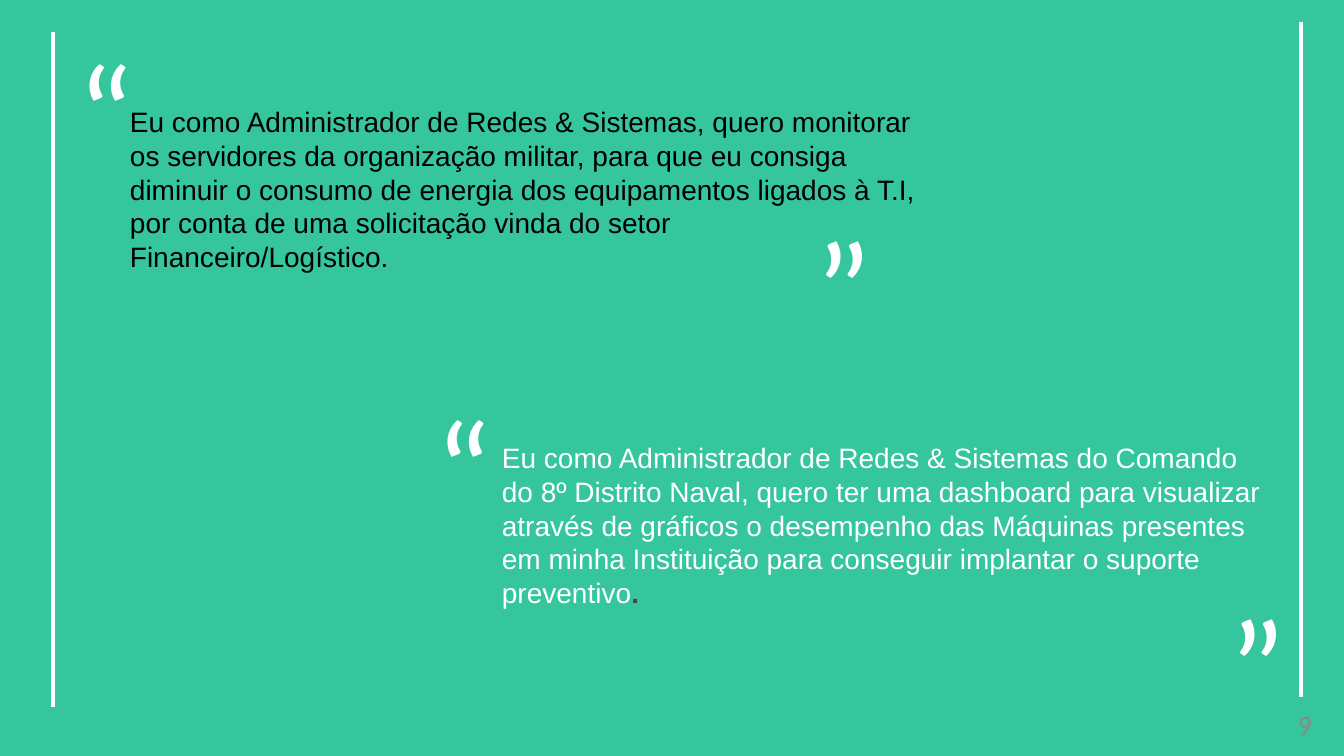
from dataclasses import dataclass

from lxml.etree import SubElement
from pptx import Presentation
from pptx.dml.color import RGBColor
from pptx.enum.shapes import MSO_CONNECTOR, MSO_SHAPE
from pptx.enum.text import MSO_ANCHOR, MSO_AUTO_SIZE, PP_ALIGN
from pptx.oxml.ns import qn
from pptx.slide import Slide
from pptx.util import Emu, Pt

EMU_PER_PX = 914400 / 100.8
SLIDE_WIDTH, SLIDE_HEIGHT = 1344, 756
GREEN, WHITE, BLACK, DARK_GRAY, GRAY = "35C69D", "FFFFFF", "000000", "444444", "898989"


@dataclass(frozen=True)
class TextRun:
    text: str
    color: str
    bold: bool = False


@dataclass(frozen=True)
class TextBlock:
    left: int
    top: int
    width: int
    height: int
    runs: tuple[TextRun, ...]
    size: int
    font: str
    align: PP_ALIGN = PP_ALIGN.LEFT


@dataclass(frozen=True)
class SideLine:
    x: int
    top: int
    height: int = 675


def px(length: int) -> Emu:
    return Emu(round(length * EMU_PER_PX))


def rgb(color: str) -> RGBColor:
    return RGBColor.from_string(color)


def quote_mark(left: int, top: int, mark: str) -> TextBlock:
    return TextBlock(left, top, 110, 173, (TextRun(mark, WHITE),), 96, "Calibri")


STORIES = (
    TextBlock(492, 436, 781, 176, (
        TextRun(
            "Eu como Administrador de Redes & Sistemas do Comando do 8º Distrito Naval, "
            "quero ter uma dashboard para visualizar através de gráficos o desempenho das "
            "Máquinas presentes em minha Instituição para conseguir implantar o suporte "
            "preventivo", WHITE),
        TextRun(".", DARK_GRAY, True),
    ), 20, "Arial"),
    TextBlock(120, 100, 822, 176, (
        TextRun(
            "Eu como Administrador de Redes & Sistemas, quero monitorar os servidores da "
            "organização militar, para que eu consiga diminuir o consumo de energia dos "
            "equipamentos ligados à T.I, por conta de uma solicitação vinda do setor "
            "Financeiro/Logístico.", BLACK),
    ), 20, "Arial"),
)
QUOTE_MARKS = (
    quote_mark(68, 22, "“"),
    quote_mark(806, 197, "”"),
    quote_mark(426, 378, "“"),
    quote_mark(1220, 575, "”"),
)
PAGE_NUMBER = TextBlock(1262, 703, 60, 46, (TextRun("9", GRAY),), 20, "Calibri", PP_ALIGN.RIGHT)
SIDE_LINES = (SideLine(53, 32), SideLine(1301, 22))


def draw_background(slide: Slide) -> None:
    shape = slide.shapes.add_shape(
        MSO_SHAPE.RECTANGLE, 0, 0, px(SLIDE_WIDTH), px(SLIDE_HEIGHT))
    shape.shadow.inherit = False
    shape.fill.solid()
    shape.fill.fore_color.rgb = rgb(GREEN)
    shape.line.fill.background()


def draw_text(slide: Slide, block: TextBlock) -> None:
    shape = slide.shapes.add_textbox(
        px(block.left), px(block.top), px(block.width), px(block.height))
    frame = shape.text_frame
    frame.word_wrap = True
    frame.auto_size = MSO_AUTO_SIZE.SHAPE_TO_FIT_TEXT
    frame.vertical_anchor = MSO_ANCHOR.TOP
    paragraph = frame.paragraphs[0]
    paragraph.alignment = block.align
    paragraph.font.size = Pt(block.size)
    paragraph.font.name = block.font
    for text_run in block.runs:
        run = paragraph.add_run()
        run.text = text_run.text
        run.font.color.rgb = rgb(text_run.color)
        run.font.bold = text_run.bold


def draw_side_line(slide: Slide, side_line: SideLine) -> None:
    connector = slide.shapes.add_connector(
        MSO_CONNECTOR.STRAIGHT, px(side_line.x), px(side_line.top),
        px(side_line.x), px(side_line.top + side_line.height))
    connector.line.color.rgb = rgb(WHITE)
    connector.line.width = Pt(3)
    SubElement(connector._element.spPr, qn("a:effectLst"))


def main() -> None:
    presentation = Presentation()
    presentation.slide_width = px(SLIDE_WIDTH)
    presentation.slide_height = px(SLIDE_HEIGHT)
    slide = presentation.slides.add_slide(presentation.slide_layouts[6])
    draw_background(slide)
    for block in (*STORIES, *QUOTE_MARKS, PAGE_NUMBER):
        draw_text(slide, block)
    for side_line in SIDE_LINES:
        draw_side_line(slide, side_line)
    presentation.save("out.pptx")


if __name__ == "__main__":
    main()
